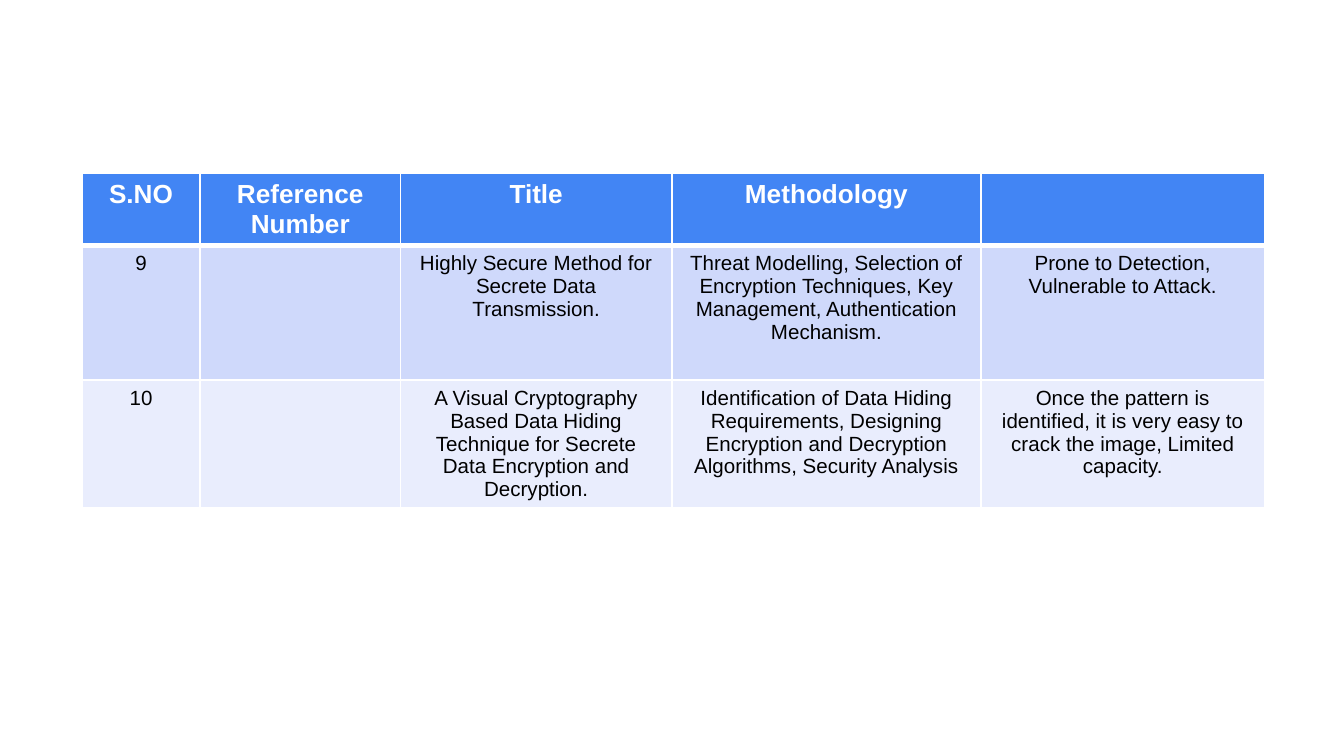
from dataclasses import dataclass

from lxml.etree import SubElement as Sub
from pptx import Presentation
from pptx.dml.color import RGBColor as Rgb
from pptx.enum.text import PP_ALIGN as Align
from pptx.oxml.ns import qn
from pptx.slide import Slide
from pptx.table import _Cell as Cell
from pptx.util import Inches, Pt


@dataclass(frozen=True)
class Theme:
    font: str = "Arial"
    white: str = "FFFFFF"
    black: str = "000000"
    blue: str = "4285F4"
    mid: str = "CFD9FB"
    pale: str = "E9EDFD"
    head: int = 14
    body: int = 11
    thin: int = 1
    thick: int = 3


@dataclass(frozen=True)
class Row:
    tall: float
    fill: str
    ink: str
    size: int
    bold: bool
    top: int
    base: int
    texts: tuple[str, ...]


THEME = Theme()
COLS = (0.88, 1.49, 2.02, 2.3, 2.11)
ROWS = (
    Row(0.53, THEME.blue, THEME.white, THEME.head, True, THEME.thin, THEME.thick,
        ("S.NO", "Reference Number", "Title", "Methodology", "")),
    Row(1.0, THEME.mid, THEME.black, THEME.body, False, THEME.thick, THEME.thin,
        ("9", "", "Highly Secure Method for Secrete Data Transmission.",
         "Threat Modelling, Selection of Encryption Techniques, Key Management, "
         "Authentication Mechanism.",
         "Prone to Detection, Vulnerable to Attack.")),
    Row(0.94, THEME.pale, THEME.black, THEME.body, False, THEME.thin, THEME.thin,
        ("10", "",
         "A Visual Cryptography Based Data Hiding Technique for Secrete Data "
         "Encryption and Decryption.",
         "Identification of Data Hiding Requirements, Designing Encryption and "
         "Decryption Algorithms, Security Analysis",
         "Once the pattern is identified, it is very easy to crack the image, "
         "Limited capacity.")),
)


def edge(cell: Cell, row: Row) -> None:
    props = cell._tc.get_or_add_tcPr()
    sides = (("L", THEME.thin), ("R", THEME.thin), ("T", row.top), ("B", row.base))
    for spot, (side, width) in enumerate(sides):
        line = Sub(props, qn(f"a:ln{side}"), w=str(Pt(width)))
        fill = Sub(line, qn("a:solidFill"))
        Sub(fill, qn("a:srgbClr"), val=THEME.white)
        props.insert(spot, line)


def draw_cell(cell: Cell, row: Row, text: str) -> None:
    cell.fill.solid()
    cell.fill.fore_color.rgb = Rgb.from_string(row.fill)
    edge(cell, row)
    para = cell.text_frame.paragraphs[0]
    para.text = text
    para.alignment = Align.CENTER
    font = para.font
    font.name = THEME.font
    font.size = Pt(row.size)
    font.bold = row.bold
    font.color.rgb = Rgb.from_string(row.ink)


def draw_table(slide: Slide, left: float, top: float) -> None:
    tall = sum(row.tall for row in ROWS)
    table = slide.shapes.add_table(
        len(ROWS), len(COLS), Inches(left), Inches(top),
        Inches(sum(COLS)), Inches(tall)).table
    for col, wide in zip(table.columns, COLS):
        col.width = Inches(wide)
    for line, row in zip(table.rows, ROWS):
        line.height = Inches(row.tall)
        for cell, text in zip(line.cells, row.texts):
            draw_cell(cell, row, text)


def main() -> None:
    deck = Presentation()
    deck.slide_width = Inches(10)
    deck.slide_height = deck.slide_width * 9 // 16
    slide = deck.slides.add_slide(deck.slide_layouts[6])
    draw_table(slide, 0.61, 1.29)
    deck.save("out.pptx")


if __name__ == "__main__":
    main()
